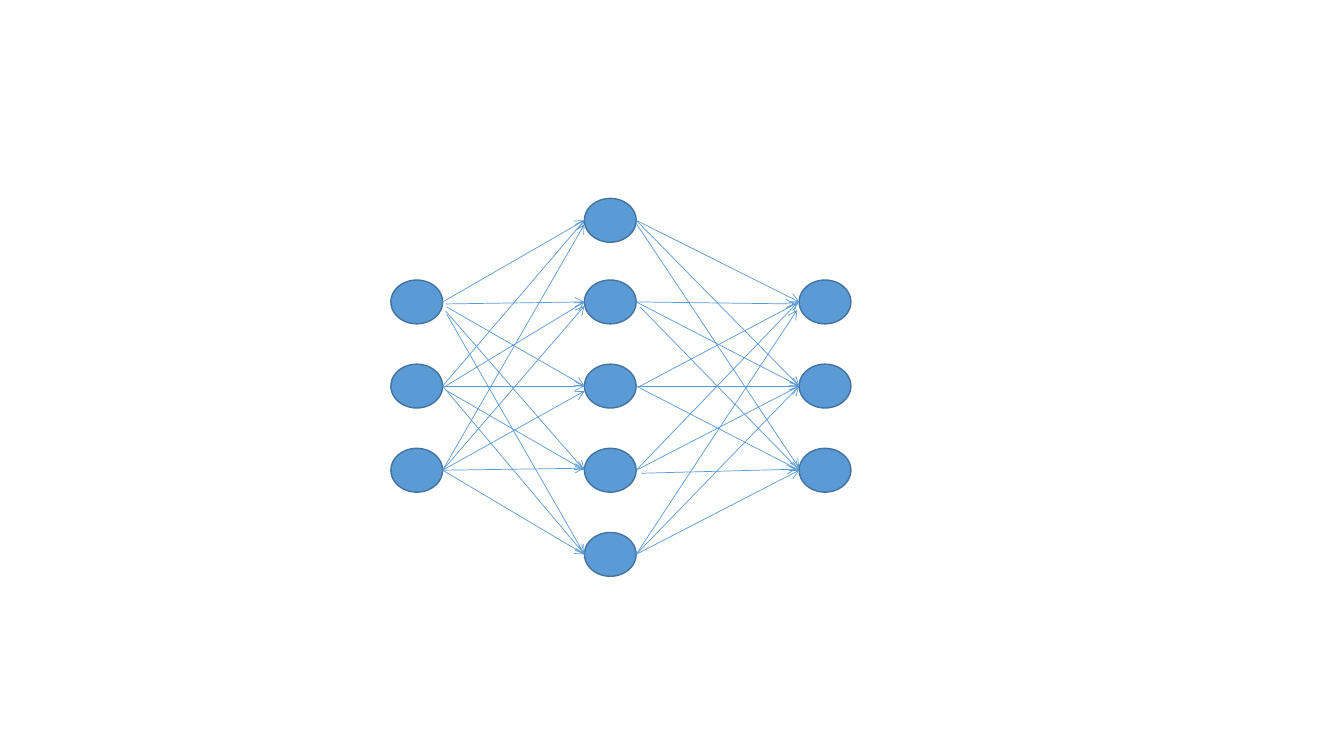
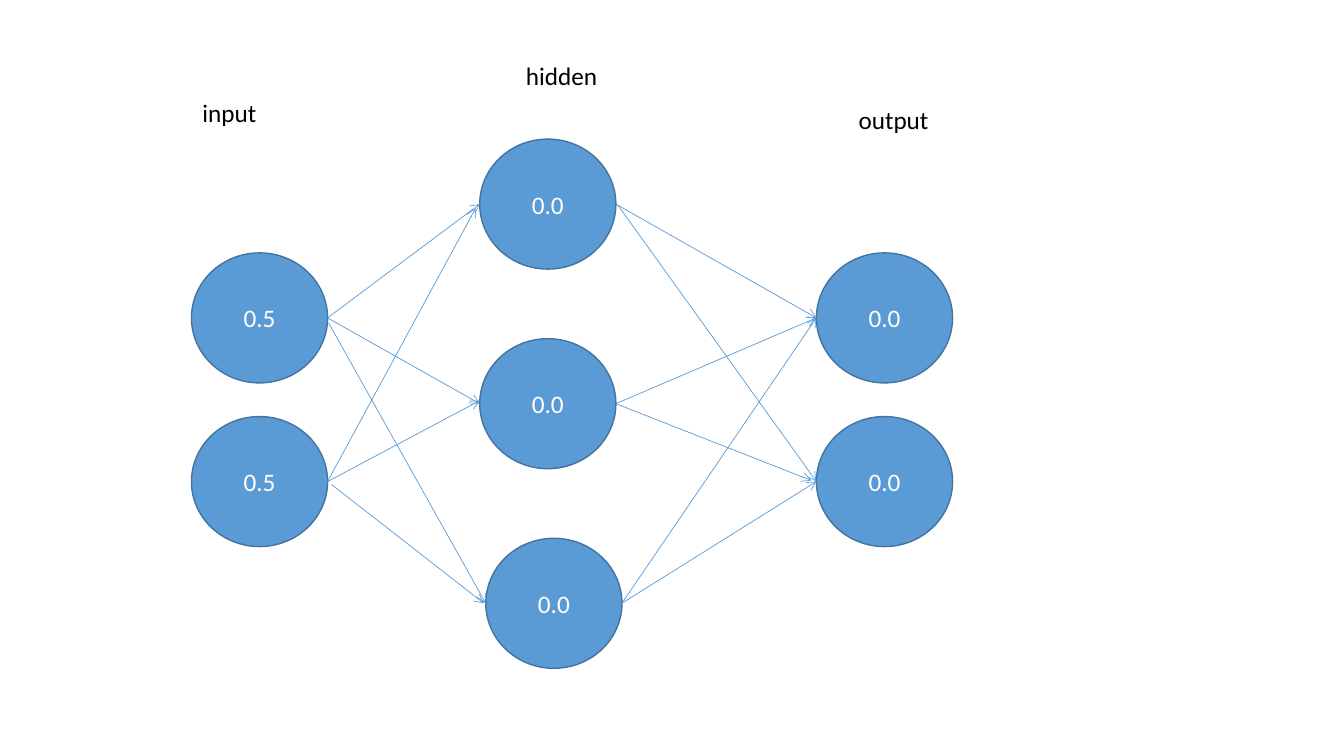
from dataclasses import dataclass, field

from lxml import etree
from pptx import Presentation
from pptx import util as u
from pptx.dml.color import RGBColor
from pptx.enum import shapes, text
from pptx.oxml import ns

COLOURS = {"node": "5B9BD5", "outline": "43739E", "arrow": "5B9BD5",
           "value": "FFFFFF", "label": "000000"}
FONT = "Calibri"
WIDTH, HEIGHT = 13.333, 7.5


@dataclass
class Layer:
    """A column of neurons: centre in % of the width, rows counted from the middle."""
    column: float
    rows: list
    values: list = field(default_factory=list)
    shifts: dict = field(default_factory=dict)


@dataclass
class Network:
    """Layers on a row grid; middle, pitch and size are in % of the slide."""
    middle: float
    pitch: float
    size: tuple
    layers: list
    # (layer, start node, end node): start dx, dy and end dx, dy in inches
    nudges: dict

    def centre(self, layer, index):
        x = WIDTH * (layer.column + layer.shifts.get(index, 0)) / 100
        y = HEIGHT * (self.middle + self.pitch * layer.rows[index]) / 100
        return x, y


# The two networks
SMALL_NODES = Network(
    middle=51.07, pitch=11.13, size=(3.85, 5.8),
    layers=[Layer(31.01, [-1, 0, 1]),
            Layer(45.41, [-1.97, -1, 0, 1, 2]),
            Layer(61.39, [-1, 0, 1])],
    nudges={
        (0, 0, 1): (0.03, 0.02, 0, 0), (0, 0, 2): (0.04, 0.05, 0, 0),
        (0, 0, 3): (0.03, 0.09, 0, 0), (0, 0, 4): (0.04, 0.12, 0, 0),
        (0, 1, 1): (0.03, 0, 0, 0), (0, 1, 3): (0.03, 0.04, 0, 0),
        (0, 2, 0): (0, 0, 0, 0.04), (0, 2, 1): (0, 0, 0, 0.04),
        (0, 2, 2): (0, 0, 0, 0.05), (0, 2, 3): (0, 0, 0, -0.02),
        (1, 0, 2): (0, 0.03, 0, -0.02), (1, 1, 0): (0, 0, -0.04, 0.02),
        (1, 1, 2): (0.04, 0.05, 0, 0), (1, 2, 0): (0.02, 0.01, 0, 0),
        (1, 3, 0): (0, 0, -0.02, 0.01), (1, 3, 2): (0.05, 0.03, -0.03, -0.01),
        (1, 4, 0): (0, 0, -0.02, 0.08),
    })

VALUE_NODES = Network(
    middle=53.4, pitch=26.4, size=(10.13, 17.2),
    layers=[Layer(19.31, [-0.43, 0.39], ["0.5", "0.5"]),
            Layer(40.76, [-1, 0, 1], ["0.0", "0.0", "0.0"], {2: 0.45}),
            Layer(65.81, [-0.43, 0.39], ["0.0", "0.0"])],
    nudges={
        (0, 0, 2): (0.01, 0.05, 0, 0), (0, 1, 0): (0, 0, -0.04, 0.04),
        (0, 1, 1): (0, 0, 0, -0.03), (0, 1, 2): (0.04, 0.03, -0.02, 0),
        (1, 0, 1): (0.02, 0.01, 0, 0), (1, 1, 1): (0, 0, -0.05, -0.01),
    })

# Layer names: left, top, width in % of the slide
LABELS = [("input", 14.33, 12.27, 5.55),
          ("hidden", 38.4, 7.33, 6.82),
          ("output", 63.15, 13.2, 6.68)]


def colour(name):
    return RGBColor.from_string(COLOURS[name])


def write(frame, words, *, fill, size=18, align=text.PP_ALIGN.LEFT,
          anchor=text.MSO_ANCHOR.TOP, wrap=True):
    frame.word_wrap = wrap
    frame.vertical_anchor = anchor
    para = frame.paragraphs[0]
    para.alignment = align
    span = para.add_run()
    span.text = words
    span.font.name = FONT
    span.font.size = u.Pt(size)
    span.font.color.rgb = colour(fill)


def add_node(page, centre, size, value=None):
    width, height = size
    x, y = centre
    node = page.shapes.add_shape(
        shapes.MSO_SHAPE.OVAL, u.Inches(x - width / 2), u.Inches(y - height / 2),
        u.Inches(width), u.Inches(height))
    node.shadow.inherit = False
    node.fill.solid()
    node.fill.fore_color.rgb = colour("node")
    node.line.color.rgb = colour("outline")
    node.line.width = u.Pt(1)
    if value:
        write(node.text_frame, value, fill="value",
              align=text.PP_ALIGN.CENTER, anchor=text.MSO_ANCHOR.MIDDLE)


def add_arrow(page, start, end):
    arrow = page.shapes.add_connector(
        shapes.MSO_CONNECTOR.STRAIGHT, *(u.Inches(part) for part in (*start, *end)))
    arrow.line.color.rgb = colour("arrow")
    arrow.line.width = u.Pt(0.5)
    line = arrow.line._get_or_add_ln()
    etree.SubElement(line, ns.qn("a:tailEnd"), type="arrow")
    etree.SubElement(line.getparent(), ns.qn("a:effectLst"))


def add_label(page, words, left, top, width):
    box = page.shapes.add_textbox(
        u.Inches(WIDTH * left / 100), u.Inches(HEIGHT * top / 100),
        u.Inches(WIDTH * width / 100), u.Inches(0.4))
    write(box.text_frame, words, fill="label", wrap=False)
    box.text_frame.auto_size = text.MSO_AUTO_SIZE.SHAPE_TO_FIT_TEXT


def add_network(page, network):
    width = WIDTH * network.size[0] / 100
    height = HEIGHT * network.size[1] / 100

    # Neurons
    for layer in network.layers:
        for index in range(len(layer.rows)):
            value = layer.values[index] if layer.values else None
            add_node(page, network.centre(layer, index), (width, height), value)

    # Every neuron points to every neuron of the next layer
    for number, (layer, following) in enumerate(zip(network.layers, network.layers[1:])):
        for first in range(len(layer.rows)):
            for second in range(len(following.rows)):
                x1, y1 = network.centre(layer, first)
                x2, y2 = network.centre(following, second)
                dx1, dy1, dx2, dy2 = network.nudges.get(
                    (number, first, second), (0, 0, 0, 0))
                add_arrow(page, (x1 + width / 2 + dx1, y1 + dy1),
                          (x2 - width / 2 + dx2, y2 + dy2))


def main():
    deck = Presentation()
    deck.slide_width = u.Inches(WIDTH)
    deck.slide_height = u.Inches(HEIGHT)
    blank = deck.slide_layouts[6]

    for network in (SMALL_NODES, VALUE_NODES):
        page = deck.slides.add_slide(blank)
        add_network(page, network)

    # Only the last network names its layers
    for label in LABELS:
        add_label(page, *label)

    deck.save("out.pptx")


if __name__ == "__main__":
    main()
